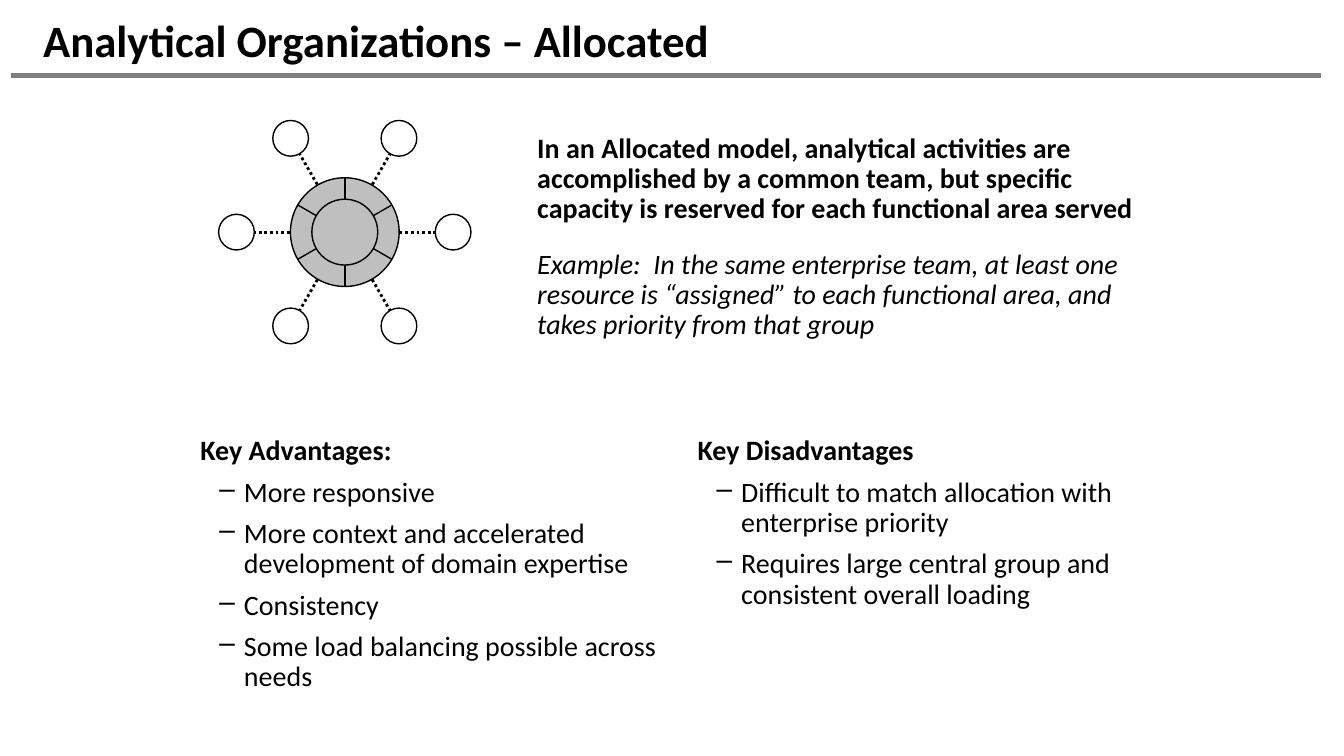
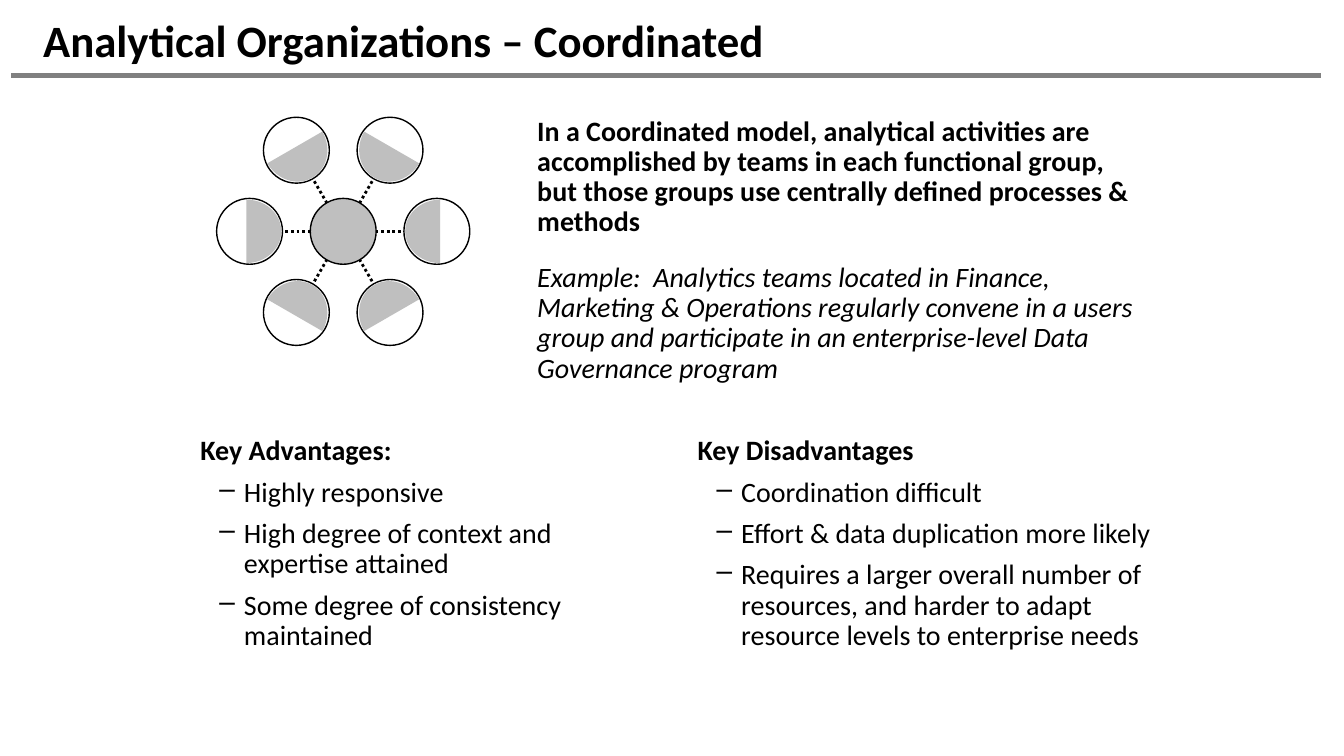
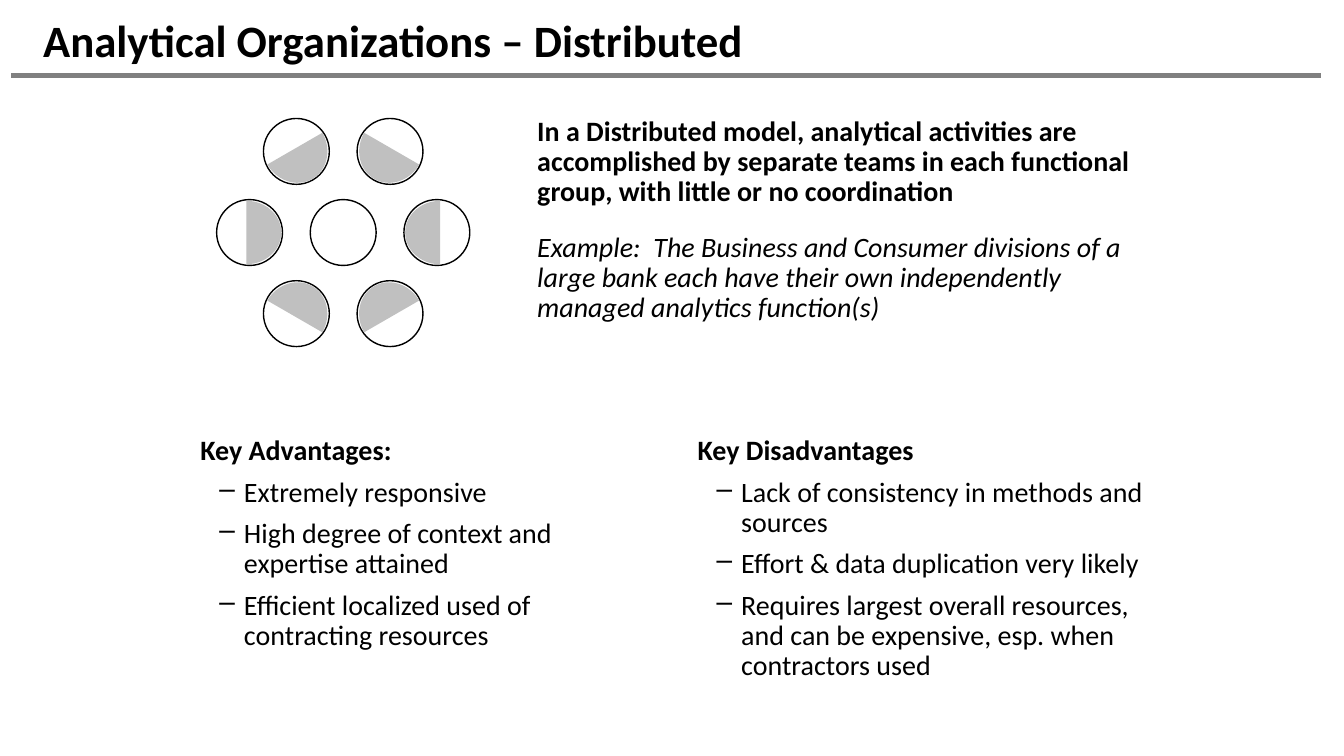
from dataclasses import dataclass
from math import cos, pi, radians, sin
from typing import NamedTuple, Optional

from lxml import etree
from pptx import Presentation
from pptx.dml.color import RGBColor
from pptx.enum.dml import MSO_LINE
from pptx.enum.shapes import MSO_CONNECTOR, MSO_SHAPE
from pptx.enum.text import MSO_ANCHOR, MSO_AUTO_SIZE
from pptx.oxml.ns import qn
from pptx.shapes.connector import Connector
from pptx.shapes.group import GroupShape
from pptx.slide import Slide
from pptx.text.text import TextFrame, _Paragraph
from pptx.util import Cm, Pt

STRAIGHT = MSO_CONNECTOR.STRAIGHT
OVAL = MSO_SHAPE.OVAL
DOTS = MSO_LINE.ROUND_DOT
MIDDLE = MSO_ANCHOR.MIDDLE
GROW = MSO_AUTO_SIZE.SHAPE_TO_FIT_TEXT


@dataclass(frozen=True)
class Theme:
    font: str = "Calibri"
    ink: RGBColor = RGBColor(0x00, 0x00, 0x00)
    paper: RGBColor = RGBColor(0xFF, 0xFF, 0xFF)
    rule: RGBColor = RGBColor(0x80, 0x80, 0x80)
    shade: RGBColor = RGBColor(0xBF, 0xBF, 0xBF)
    pale: RGBColor = RGBColor(0xC0, 0xC0, 0xC0)
    title: int = 32
    body: int = 20


THEME = Theme()


class Point(NamedTuple):
    x: float
    y: float

    def polar(self, reach: float, angle: float) -> "Point":
        turn = radians(angle)
        return Point(self.x + reach * cos(turn), self.y + reach * sin(turn))


class Box(NamedTuple):
    left: float
    top: float
    width: float
    height: float


@dataclass(frozen=True)
class Wheel:
    mid: Point
    reach: float
    node: float
    hub: RGBColor
    spokes: bool = True
    ring: bool = False
    half: Optional[RGBColor] = None


@dataclass(frozen=True)
class Column:
    height: float
    items: tuple[str, ...]


@dataclass(frozen=True)
class Model:
    name: str
    wheel: Wheel
    top: float
    height: float
    claim: str
    sample: str
    pros: Column
    cons: Column


CORE = 0.83
RIM = 1.37
SPOKE = 2.31
HALF_WIDE = 0.88
HALF_HIGH = 0.8
HALF_SHIFT = 0.36
ARC_STEPS = 24

MODELS = (
    Model(
        "Allocated",
        Wheel(Point(8.69, 5.85), 2.73, 0.45, THEME.shade, ring=True),
        3.38,
        5.26,
        "In an Allocated model, analytical activities are accomplished by a "
        "common team, but specific capacity is reserved for each functional "
        "area served",
        "Example:  In the same enterprise team, at least one resource is "
        "“assigned” to each functional area, and takes priority from that group",
        Column(6.76, (
            "More responsive",
            "More context and accelerated development of domain expertise",
            "Consistency",
            "Some load balancing possible across needs",
        )),
        Column(4.52, (
            "Difficult to match allocation with enterprise priority",
            "Requires large central group and consistent overall loading",
        )),
    ),
    Model(
        "Coordinated",
        Wheel(Point(8.65, 5.83), 2.36, CORE, THEME.shade, half=THEME.shade),
        2.95,
        6.81,
        "In a Coordinated model, analytical activities are accomplished by "
        "teams in each functional group, but those groups use centrally "
        "defined processes & methods",
        "Example:  Analytics teams located in Finance, Marketing & Operations "
        "regularly convene in a users group and participate in an "
        "enterprise-level Data Governance program",
        Column(5.64, (
            "Highly responsive",
            "High degree of context and expertise attained",
            "Some degree of consistency maintained",
        )),
        Column(5.64, (
            "Coordination difficult",
            "Effort & data duplication more likely",
            "Requires a larger overall number of resources, and harder to "
            "adapt resource levels to enterprise needs",
        )),
    ),
    Model(
        "Distributed",
        Wheel(Point(8.65, 5.86), 2.36, CORE, THEME.paper, spokes=False,
              half=THEME.pale),
        2.95,
        5.26,
        "In a Distributed model, analytical activities are accomplished by "
        "separate teams in each functional group, with little or no coordination",
        "Example:  The Business and Consumer divisions of a large bank each "
        "have their own independently managed analytics function(s)",
        Column(5.64, (
            "Extremely responsive",
            "High degree of context and expertise attained",
            "Efficient localized used of contracting resources",
        )),
        Column(6.4, (
            "Lack of consistency in methods and sources",
            "Effort & data duplication very likely",
            "Requires largest overall resources, and can be expensive, esp. "
            "when contractors used",
        )),
    ),
)


def draw_line(host: Slide | GroupShape, start: Point, end: Point,
              color: RGBColor, weight: float) -> Connector:
    line = host.shapes.add_connector(
        STRAIGHT, Cm(start.x), Cm(start.y), Cm(end.x), Cm(end.y))
    line.line.color.rgb = color
    line.line.width = Pt(weight)
    etree.SubElement(line._element.spPr, qn("a:effectLst"))
    return line


def draw_disc(group: GroupShape, mid: Point, size: float, fill: RGBColor) -> None:
    disc = group.shapes.add_shape(
        OVAL, Cm(mid.x - size), Cm(mid.y - size), Cm(2 * size), Cm(2 * size))
    disc.shadow.inherit = False
    disc.fill.solid()
    disc.fill.fore_color.rgb = fill
    disc.line.color.rgb = THEME.ink
    disc.line.width = Pt(1)


def draw_half(group: GroupShape, node: Point, angle: float, fill: RGBColor) -> None:
    mid = node.polar(HALF_SHIFT, angle)
    left = mid.x - HALF_WIDE / 2
    turns = [pi * step / ARC_STEPS - pi / 2 for step in range(ARC_STEPS + 1)]
    arc = [(Cm(left + HALF_WIDE * cos(turn)), Cm(mid.y + HALF_HIGH * sin(turn)))
           for turn in turns]
    path = group.shapes.build_freeform(*arc[0])
    path.add_line_segments(arc[1:], close=True)
    half = path.convert_to_shape()
    half.rotation = angle % 360
    half.shadow.inherit = False
    half.fill.solid()
    half.fill.fore_color.rgb = fill
    half.line.fill.background()


def draw_spokes(group: GroupShape, mid: Point, reach: float, first: int,
                weight: float, dotted: bool) -> None:
    for angle in range(first, first + 180, 60):
        line = draw_line(group, mid.polar(reach, angle + 180),
                         mid.polar(reach, angle), THEME.ink, weight)
        if dotted:
            line.line.dash_style = DOTS


def draw_wheel(slide: Slide, wheel: Wheel) -> None:
    group = slide.shapes.add_group_shape()
    if wheel.spokes:
        draw_spokes(group, wheel.mid, SPOKE, 0, 2, True)
    for angle in range(0, 360, 60):
        node = wheel.mid.polar(wheel.reach, angle)
        draw_disc(group, node, wheel.node, THEME.paper)
        if wheel.half is not None:
            draw_half(group, node, angle + 180, wheel.half)
    if wheel.ring:
        draw_disc(group, wheel.mid, RIM, wheel.hub)
        draw_spokes(group, wheel.mid, RIM, 30, 1, False)
    draw_disc(group, wheel.mid, CORE, wheel.hub)


def add_box(slide: Slide, box: Box) -> TextFrame:
    frame = slide.shapes.add_textbox(*(Cm(side) for side in box)).text_frame
    frame.word_wrap = True
    return frame


def add_body(slide: Slide, box: Box) -> TextFrame:
    frame = add_box(slide, box)
    frame.margin_left = frame.margin_right = 0
    frame.margin_top = frame.margin_bottom = 0
    frame.auto_size = GROW
    return frame


def set_font(para: _Paragraph, size: int, bold: bool = False,
             slant: bool = False) -> None:
    font = para.font
    font.name = THEME.font
    font.size = Pt(size)
    font.bold = bold
    font.italic = slant
    font.color.rgb = THEME.ink


def set_body(para: _Paragraph, text: str, before: float, bold: bool = False,
             slant: bool = False) -> None:
    para.text = text
    para.line_spacing = 0.9
    para.space_before = Pt(before)
    set_font(para, THEME.body, bold, slant)


def set_indent(para: _Paragraph, margin: float, hang: float) -> None:
    props = para._p.get_or_add_pPr()
    props.set("marL", str(Cm(margin)))
    props.set("indent", str(-Cm(hang)))


def add_title(slide: Slide, text: str) -> None:
    draw_line(slide, Point(0.28, 1.9), Point(33.3, 1.9), THEME.rule, 3)
    frame = add_box(slide, Box(0.84, 0.43, 32.46, 1.14))
    frame.vertical_anchor = MIDDLE
    para = frame.paragraphs[0]
    para.text = text
    set_font(para, THEME.title, bold=True)


def add_column(slide: Slide, left: float, head: str, column: Column) -> None:
    frame = add_body(slide, Box(left, 11, 11.63, column.height))
    para = frame.paragraphs[0]
    set_indent(para, 0.33, 0.33)
    set_body(para, head, 0, bold=True)
    for item in column.items:
        para = frame.add_paragraph()
        para.level = 1
        set_indent(para, 1.1, 0.62)
        etree.SubElement(para._p.get_or_add_pPr(), qn("a:buChar"), char="–")
        set_body(para, item, 8)


def add_claim(slide: Slide, model: Model) -> None:
    frame = add_body(slide, Box(13.54, model.top, 15.09, model.height))
    set_body(frame.paragraphs[0], model.claim, 0, bold=True)
    set_body(frame.add_paragraph(), model.sample, 18, slant=True)


def main() -> None:
    deck = Presentation()
    deck.slide_width, deck.slide_height = Cm(33.87), Cm(19.05)
    for model in MODELS:
        slide = deck.slides.add_slide(deck.slide_layouts[6])
        add_title(slide, f"Analytical Organizations – {model.name}")
        draw_wheel(slide, model.wheel)
        add_claim(slide, model)
        add_column(slide, 5.05, "Key Advantages:", model.pros)
        add_column(slide, 17.58, "Key Disadvantages", model.cons)
    deck.save("out.pptx")


main()
